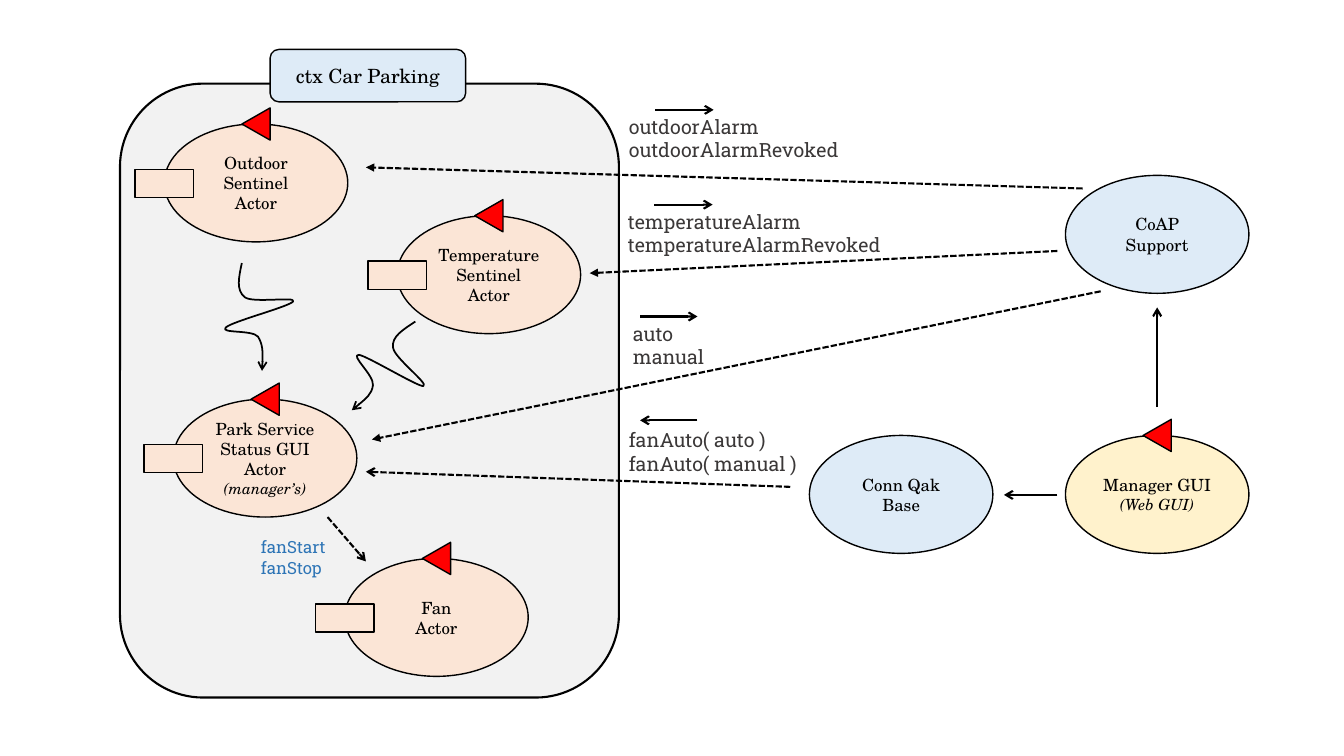
import lxml.etree
import pptx
import pptx.util
import pptx.dml.color
import pptx.enum.dml
import pptx.enum.shapes
import pptx.enum.text
import pptx.oxml
import pptx.oxml.ns

Inches, Pt = pptx.util.Inches, pptx.util.Pt
SHAPE = pptx.enum.shapes.MSO_SHAPE
ALIGN = pptx.enum.text.PP_ALIGN
qn = pptx.oxml.ns.qn

COLORS = {"black": "000000", "context": "F2F2F2", "actor": "FBE5D6", "support": "DEEBF7",
          "web": "FFF2CC", "marker": "FF0000", "message": "3B3838", "fan": "2E75B6"}
SERIF, SLAB = "TeX Gyre Schola", "Roboto Slab"

# Content: nodes as left, top, fill, lines, italic note, has marker, has port
NODES = [
    (1.63, 1.23, "actor", ["Outdoor Sentinel Actor"], None, True, True),
    (10.57, 4.32, "web", ["Manager GUI"], "(Web GUI)", True, False),
    (10.57, 1.74, "support", ["CoAP Support"], None, False, False),
    (8.03, 4.32, "support", ["Conn Qak Base"], None, False, False),
    (3.42, 5.54, "actor", ["Fan", "Actor"], None, True, True),
    (3.94, 2.14, "actor", ["Temperature Sentinel Actor"], None, True, True),
    (1.72, 3.96, "actor", ["Park Service Status GUI Actor"], "(manager’s)", True, True),
]
# Messages: left, top, width, height, size, colour, lines
MESSAGES = [
    (6.14, 1.09, 2.32, 0.57, 14, "message", ["outdoorAlarm", "outdoorAlarmRevoked"]),
    (6.13, 2.03, 2.76, 0.57, 14, "message", ["temperatureAlarm", "temperatureAlarmRevoked"]),
    (6.18, 3.14, 0.94, 0.57, 14, "message", ["auto", "manual"]),
    (6.14, 4.2, 1.94, 0.57, 14, "message", ["fanAuto( auto )", "fanAuto( manual )"]),
    (2.49, 5.28, 0.87, 0.5, 12, "fan", ["fanStart", "fanStop"]),
]
# Arrows: start, end, dashed, head
ARROWS = [
    ((11.48, 4.04), (11.48, 3.05), False, "arrow"),
    ((10.49, 4.91), (9.96, 4.91), False, "arrow"),
    ((6.5, 1.09), (7.08, 1.09), False, "arrow"),
    ((6.49, 2.03), (7.07, 2.03), False, "arrow"),
    ((6.35, 3.14), (6.92, 3.14), False, "arrow"),
    ((6.92, 4.17), (6.35, 4.17), False, "arrow"),
    ((3.25, 5.13), (3.63, 5.57), True, "arrow"),
    ((7.84, 4.83), (3.63, 4.68), True, "arrow"),
    ((10.74, 1.87), (3.63, 1.66), True, "triangle"),
    ((10.49, 2.49), (5.85, 2.71), True, "triangle"),
    ((10.92, 2.89), (3.69, 4.36), True, "triangle"),
]
# Event waves: a start point, then three Bezier points per segment
WAVES = [
    [(4.12, 3.19), (4, 3.27), (3.88, 3.34), (3.9, 3.45), (3.91, 3.55), (4.26, 3.81),
     (4.2, 3.83), (4.15, 3.84), (3.64, 3.53), (3.56, 3.52), (3.47, 3.52), (3.71, 3.72),
     (3.7, 3.82), (3.69, 3.91), (3.59, 3.99), (3.49, 4.07)],
    [(2.4, 2.61), (2.37, 2.75), (2.34, 2.88), (2.43, 2.95), (2.51, 3.01), (2.94, 2.94),
     (2.91, 2.99), (2.88, 3.04), (2.3, 3.19), (2.24, 3.25), (2.18, 3.31), (2.5, 3.27),
     (2.56, 3.34), (2.61, 3.42), (2.61, 3.55), (2.6, 3.68)],
]

deck = pptx.Presentation()
deck.slide_width, deck.slide_height = Inches(40 / 3), Inches(7.5)
slide = deck.slides.add_slide(deck.slide_layouts[6])


def rgb(name):
    return pptx.dml.color.RGBColor.from_string(COLORS[name])


def apply(target, values):
    for name, value in values.items():
        setattr(target, name, value)


def outline(part, width):
    part.line.color.rgb = rgb("black")
    part.line.width = Pt(width)


def add_head(part, kind):
    lxml.etree.SubElement(part.line._get_or_add_ln(), qn("a:tailEnd"), type=kind)


def add_part(parent, kind, box, fill, width=1):
    part = parent.shapes.add_shape(kind, *map(Inches, box))
    part.shadow.inherit = False
    part.fill.solid()
    part.fill.fore_color.rgb = rgb(fill)
    outline(part, width)
    return part


def write(part, lines, font, align, **frame):
    """Fill a frame with (text, size, italic) lines."""
    apply(part.text_frame, frame)
    for i, (text, size, italic) in enumerate(lines):
        paragraph = part.text_frame.paragraphs[0] if i == 0 else part.text_frame.add_paragraph()
        paragraph.alignment = align
        run = paragraph.add_run()
        run.text = text
        apply(run.font, {"name": font["name"], "size": Pt(size), "italic": italic})
        run.font.color.rgb = rgb(font["color"])


def write_centred(part, lines):
    write(part, lines, {"name": SERIF, "color": "black"}, ALIGN.CENTER, word_wrap=True,
          vertical_anchor=pptx.enum.text.MSO_ANCHOR.MIDDLE)


# Context area
add_part(slide, SHAPE.ROUNDED_RECTANGLE, (1.19, 0.83, 4.95, 6.09), "context", 1.5)
title = add_part(slide, SHAPE.ROUNDED_RECTANGLE, (2.68, 0.49, 1.94, 0.52), "support")
write_centred(title, [("ctx Car Parking", 14, False)])

# Nodes, with marker and port placed relative to the ellipse
for left, top, fill, lines, note, has_marker, has_port in NODES:
    parent = slide.shapes.add_group_shape() if has_marker else slide
    node = add_part(parent, SHAPE.OVAL, (left, top, 1.82, 1.17), fill)
    write_centred(node, [(line, 12, False) for line in lines] + ([(note, 11, True)] if note else []))
    if has_marker:
        marker = add_part(parent, SHAPE.ISOSCELES_TRIANGLE,
                          (left + 0.75, top - 0.14, 0.32, 0.28), "marker")
        marker.rotation = 270
    if has_port:
        add_part(parent, SHAPE.RECTANGLE, (left - 0.29, top + 0.45, 0.58, 0.28), fill)

# Arrows
for start, end, dashed, head in ARROWS:
    arrow = slide.shapes.add_connector(pptx.enum.shapes.MSO_CONNECTOR.STRAIGHT,
                                       *map(Inches, start + end))
    outline(arrow, 1.5)
    if dashed:
        arrow.line.dash_style = pptx.enum.dml.MSO_LINE.SQUARE_DOT
    add_head(arrow, head)
    lxml.etree.SubElement(arrow._element.spPr, qn("a:effectLst"))

# Event waves: every three line points become one Bezier segment
for points in WAVES:
    start, *controls = [tuple(map(Inches, point)) for point in points]
    builder = slide.shapes.build_freeform(*start)
    builder.add_line_segments(controls, close=False)
    wave = builder.convert_to_shape()
    wave.shadow.inherit = False
    wave.fill.background()
    outline(wave, 1.25)
    add_head(wave, "arrow")
    track = next(wave._element.iter(qn("a:path")))
    segments = track.findall(qn("a:lnTo"))
    for i in range(0, len(segments), 3):
        bezier = lxml.etree.SubElement(track, qn("a:cubicBezTo"))
        for segment in segments[i:i + 3]:
            bezier.append(segment[0])
            track.remove(segment)

# Messages
for left, top, width, height, size, color, lines in MESSAGES:
    label = slide.shapes.add_textbox(*map(Inches, (left, top, width, height)))
    write(label, [(line, size, False) for line in lines], {"name": SLAB, "color": color},
          ALIGN.LEFT, word_wrap=False,
          auto_size=pptx.enum.text.MSO_AUTO_SIZE.SHAPE_TO_FIT_TEXT)

deck.save("out.pptx")
